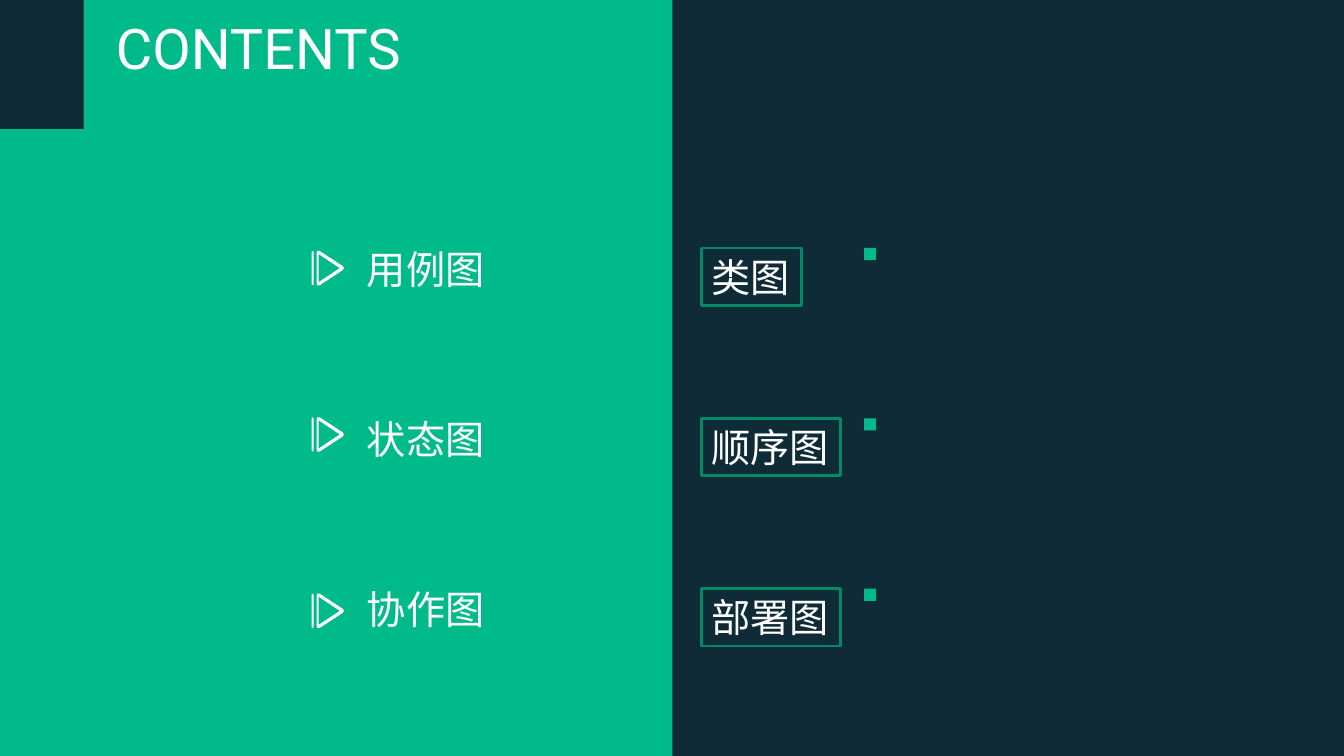
from pptx import Presentation
from pptx.dml.color import RGBColor
from pptx.enum.shapes import MSO_SHAPE
from pptx.enum.text import MSO_ANCHOR, MSO_AUTO_SIZE, PP_ALIGN
from pptx.util import Inches, Pt

COLORS = {"green": "00BA89", "navy": "0F2B37", "edge": "008A65", "white": "FFFFFF"}
FRAME = {"auto_size": MSO_AUTO_SIZE.NONE, "vertical_anchor": MSO_ANCHOR.TOP,
         "margin_left": Inches(0.1), "margin_right": Inches(0.1),
         "margin_top": Inches(0.05), "margin_bottom": Inches(0.05)}
TITLE_FONT = {"name": "Roboto", "size": Pt(40), "bold": False}
TOPIC_FONT = {"name": "Roboto", "size": Pt(28), "bold": False}

PLAY_CONTOURS = [
    [(0.05, 0.03), (0.05, 0.33), (0.056, 0.35), (0.08, 0.35), (0.31, 0.2),
     (0.32, 0.18), (0.31, 0.16), (0.08, 0.01), (0.056, 0.01)],
    [(0.28, 0.18), (0.07, 0.32), (0.07, 0.04)],
    [(0, 0.02), (0.01, 0.01), (0.02, 0.02), (0.02, 0.34), (0.01, 0.35), (0, 0.34)],
]
TOPIC_ROWS = [("用例图", "类图", 0.1), ("状态图", "顺序图", 0.06), ("协作图", "部署图", 0.12)]


def rgb(name):
    """Return the named colour."""
    return RGBColor.from_string(COLORS[name])


def apply(target, values):
    """Set each attribute in values on target."""
    for attribute, value in values.items():
        setattr(target, attribute, value)


def write(shape, words, font, wrap=True):
    """Write one left-aligned line of white text in a shape."""
    frame = shape.text_frame
    apply(frame, {**FRAME, "word_wrap": wrap})
    frame.text = words
    line = frame.paragraphs[0]
    line.alignment = PP_ALIGN.LEFT
    apply(line.font, font)
    line.font.color.rgb = rgb("white")


def paint(shape, color):
    """Give a shape a plain fill without line or shadow."""
    shape.shadow.inherit = False
    shape.fill.solid()
    shape.fill.fore_color.rgb = rgb(color)
    shape.line.fill.background()


def add_rectangle(slide, *box):
    """Add a rectangle with its box in inches."""
    return slide.shapes.add_shape(MSO_SHAPE.RECTANGLE, *map(Inches, box))


def add_play_icon(slide, left, top):
    """Draw the outlined play icon with its bar."""
    outline, *inner = [[(Inches(left + x), Inches(top + y)) for x, y in contour]
                       for contour in PLAY_CONTOURS]
    builder = slide.shapes.build_freeform(*outline[0])
    builder.add_line_segments(outline[1:])
    for contour in inner:
        builder.move_to(*contour[0])
        builder.add_line_segments(contour[1:])
    paint(builder.convert_to_shape(), "white")


def add_topic_row(slide, left, top, topic, framed_topic, icon_drop):
    """Place the icon, topic, framed topic and marker of one row."""
    add_play_icon(slide, left, top + icon_drop)
    label = slide.shapes.add_textbox(*map(Inches, (left + 0.45, top, 2.25, 0.57)))
    write(label, topic, TOPIC_FONT)
    frame_width = 0.21 + 0.39 * len(framed_topic)
    framed = add_rectangle(slide, left + 3.87, top + 0.08, frame_width, 0.57)
    framed.shadow.inherit = False
    framed.fill.background()
    framed.line.color.rgb = rgb("edge")
    framed.line.width = Pt(2)
    write(framed, framed_topic, TOPIC_FONT, wrap=False)
    paint(add_rectangle(slide, left + 5.48, top + 0.08, 0.12, 0.12), "green")


def add_header(slide, left, top, width, height):
    """Place the corner block and the title in the header box."""
    paint(add_rectangle(slide, left, top, 0.83, height), "navy")
    title = slide.shapes.title
    apply(title, {"left": Inches(left + 1.05), "top": Inches(top + 0.08),
                  "width": Inches(width - 1.05), "height": Inches(0.77)})
    write(title, "CONTENTS", TITLE_FONT)


def add_topics(slide, left, top, pitch):
    """Stack the topic rows at an equal pitch."""
    for index, row in enumerate(TOPIC_ROWS):
        add_topic_row(slide, left, top + index * pitch, *row)


def main():
    """Build and save the contents slide."""
    deck = Presentation()
    apply(deck, {"slide_width": Inches(13.33), "slide_height": Inches(7.5)})
    slide = deck.slides.add_slide(deck.slide_layouts[5])
    slide.background.fill.solid()
    slide.background.fill.fore_color.rgb = rgb("green")
    paint(add_rectangle(slide, 6.67, 0, 6.66, 7.5), "navy")
    add_header(slide, 0, 0, 5.97, 1.28)
    add_topics(slide, 3.09, 2.38, 1.69)
    deck.save("out.pptx")


if __name__ == "__main__":
    main()
